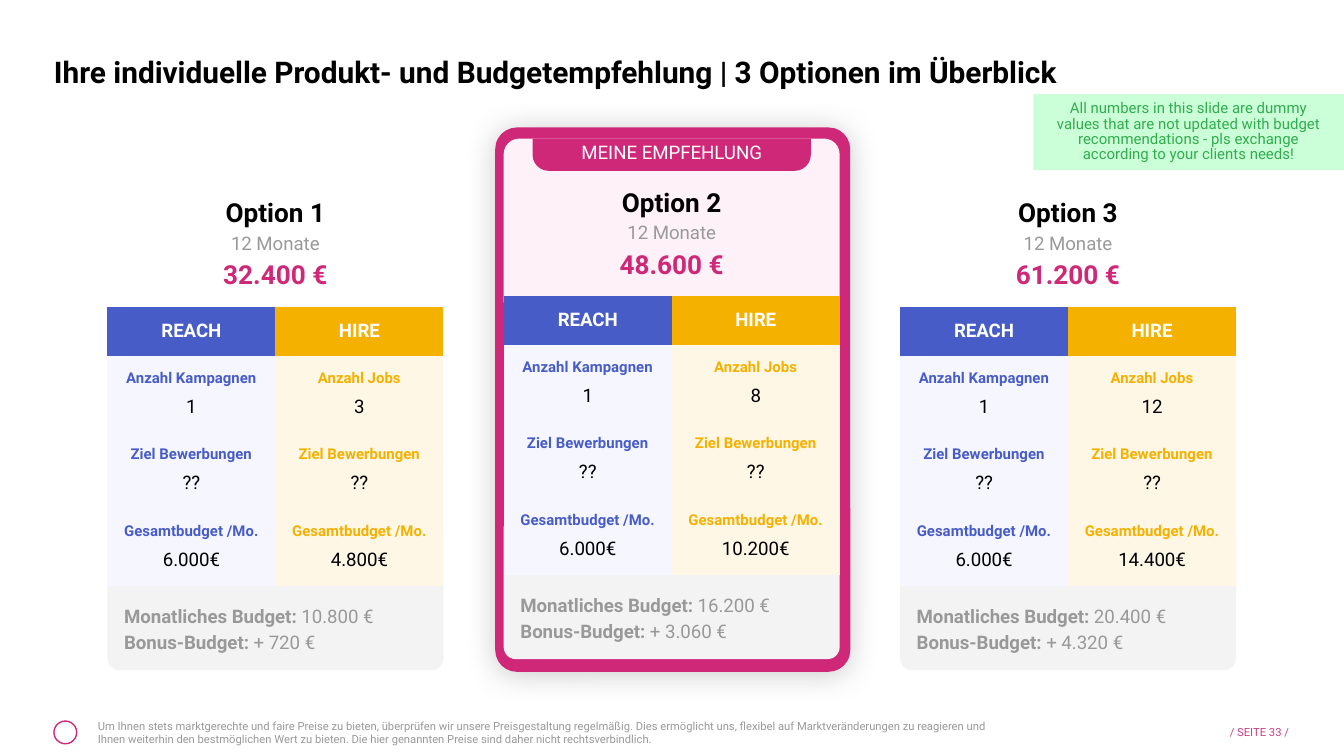
from lxml import etree
from pptx import Presentation
from pptx.dml.color import RGBColor
from pptx.enum import shapes, text
from pptx.oxml.ns import qn
from pptx.util import Cm, Pt

# Content
TITLE = "Ihre individuelle Produkt- und Budgetempfehlung | 3 Optionen im Überblick"
TAG = "MEINE EMPFEHLUNG"
NOTE = ("All numbers in this slide are dummy values that are not updated with budget "
        "recommendations - pls exchange according to your clients needs!")
DISCLAIMER = ("Um Ihnen stets marktgerechte und faire Preise zu bieten, überprüfen wir unsere "
              "Preisgestaltung regelmäßig. Dies ermöglicht uns, flexibel auf Marktveränderungen "
              "zu reagieren und Ihnen weiterhin den bestmöglichen Wert zu bieten. Die hier "
              "genannten Preise sind daher nicht rechtsverbindlich.")
PAGE = "/ SEITE 33 /"
DURATION = "12 Monate"
# Product, its metric labels, header colour, cell colour
PRODUCTS = [
    ("REACH", ["Anzahl Kampagnen", "Ziel Bewerbungen", "Gesamtbudget /Mo."], "blue", "pale_blue"),
    ("HIRE", ["Anzahl Jobs", "Ziel Bewerbungen", "Gesamtbudget /Mo."], "amber", "pale_amber"),
]
OPTIONS = [
    dict(name="Option 1", price="32.400 €", monthly="10.800 €", bonus="+ 720 €",
         values=[["1", "??", "6.000€"], ["3", "??", "4.800€"]]),
    dict(name="Option 2", price="48.600 €", monthly="16.200 €", bonus="+ 3.060 €",
         values=[["1", "??", "6.000€"], ["8", "??", "10.200€"]], featured=True),
    dict(name="Option 3", price="61.200 €", monthly="20.400 €", bonus="+ 4.320 €",
         values=[["1", "??", "6.000€"], ["12", "??", "14.400€"]]),
]

# Format
FONT = "Roboto"
COLORS = dict(black="000000", white="FFFFFF", gray="999999", panel="F3F3F4", pink="D02879",
              pale_pink="FFF1F8", page="C84182", blue="485CC7", pale_blue="F5F6FF",
              amber="F5B100", pale_amber="FEF7E6", note="CBFFD7", green="30AC4E")
LEFT, STEP, CARD_W = 2.03, 7.49, 6.35
HEAD_TOP, TABLE_TOP, FOOT_TOP, PANEL_H = 3.4, 5.8, 10.16, 2.51
HEADER_ROW, METRIC_ROW = 0.93, 1.45
LIFT = 0.21  # the recommended option sits higher
INSET = 0.25
NO_STYLE = "{2D5ABB26-0587-4C30-8999-92F81FD0307C}"
LEFT_AL, CENTER, RIGHT = text.PP_ALIGN.LEFT, text.PP_ALIGN.CENTER, text.PP_ALIGN.RIGHT
TOP, MIDDLE, BOTTOM = (text.MSO_ANCHOR.TOP, text.MSO_ANCHOR.MIDDLE, text.MSO_ANCHOR.BOTTOM)
KIND = shapes.MSO_SHAPE

prs = Presentation()
prs.slide_width, prs.slide_height = Cm(25.4), Cm(14.29)
s = prs.slides.add_slide(prs.slide_layouts[5])


def rgb(name):
    return RGBColor.from_string(COLORS[name])


def write(tf, label, size=10, color="black", bold=False, align=CENTER, before=0,
          spacing=1.0, tail=""):
    """Add a paragraph; tail follows the label in regular weight."""
    p = tf.paragraphs[0]
    if p.runs:
        p = tf.add_paragraph()
    p.alignment, p.space_before, p.line_spacing = align, Pt(before), spacing
    for words, weight in ((label, bold), (tail, False)):
        if words:
            r = p.add_run()
            r.text = words
            r.font.name, r.font.size, r.font.bold = FONT, Pt(size), weight
            r.font.color.rgb = rgb(color)


def frame_text(sp, anchor=TOP, inset=INSET):
    tf = sp.text_frame
    tf.word_wrap, tf.auto_size, tf.vertical_anchor = True, text.MSO_AUTO_SIZE.NONE, anchor
    tf.margin_left = tf.margin_right = tf.margin_top = tf.margin_bottom = Cm(inset)
    return tf


def add_box(kind, x, y, w, h, fill=None, line=None, adj=()):
    sp = s.shapes.add_shape(kind, Cm(x), Cm(y), Cm(w), Cm(h))
    sp.shadow.inherit = False
    for i, value in enumerate(adj):
        sp.adjustments[i] = value
    if fill:
        sp.fill.solid()
        sp.fill.fore_color.rgb = rgb(fill)
    else:
        sp.fill.background()
    if line:
        sp.line.color.rgb, sp.line.width = rgb(line), Pt(0.75)
    else:
        sp.line.fill.background()
    return sp


def add_textbox(x, y, w, h, **frame):
    return frame_text(s.shapes.add_textbox(Cm(x), Cm(y), Cm(w), Cm(h)), **frame)


def add_glow(sp):
    effects = sp.element.spPr.find(qn("a:effectLst"))
    shadow = etree.SubElement(effects, qn("a:outerShdw"), blurRad=str(Pt(15.8)),
                              dist=str(Pt(1.5)), dir="5400000", algn="bl", rotWithShape="0")
    color = etree.SubElement(shadow, qn("a:srgbClr"), val=COLORS["gray"])
    etree.SubElement(color, qn("a:alpha"), val="50000")


def add_metrics(x, y, values):
    rows = 1 + len(PRODUCTS[0][1])
    height = HEADER_ROW + (rows - 1) * METRIC_ROW
    gf = s.shapes.add_table(rows, len(PRODUCTS), Cm(x), Cm(y), Cm(CARD_W), Cm(height))
    table = gf.table
    table.first_row = table.horz_banding = False
    next(gf.element.iter(qn("a:tableStyleId"))).text = NO_STYLE
    for i, row in enumerate(table.rows):
        row.height = Cm(METRIC_ROW if i else HEADER_ROW)
    for c, (product, labels, color, tint) in enumerate(PRODUCTS):
        for i in range(rows):
            cell = table.cell(i, c)
            cell.fill.solid()
            cell.fill.fore_color.rgb = rgb(tint if i else color)
            cell.margin_left = cell.margin_right = Cm(INSET)
            cell.margin_top = cell.margin_bottom = Cm(INSET)
            cell.vertical_anchor = TOP if i else MIDDLE
            if i:
                write(cell.text_frame, labels[i - 1], size=8, color=color, bold=True)
                write(cell.text_frame, values[c][i - 1], before=5)
            else:
                write(cell.text_frame, product, color="white", bold=True)


def add_option(x, option):
    featured = option.get("featured", False)
    lift = LIFT if featured else 0
    # Pink frame behind the recommended option
    if featured:
        add_glow(add_box(KIND.ROUNDED_RECTANGLE, x - 0.16, 2.41, 6.71, 10.29, "pink", adj=[0.061]))
    # Budget panel
    sp = add_box(KIND.ROUND_2_SAME_RECTANGLE, x, FOOT_TOP - lift, CARD_W, PANEL_H, "panel",
                 adj=[0, 0.091])
    tf = frame_text(sp, BOTTOM)
    for label, key in (("Monatliches Budget:", "monthly"), ("Bonus-Budget:", "bonus")):
        write(tf, label, color="gray", bold=True, align=LEFT_AL, spacing=1.15,
              tail=" " + option[key])
    # Name, duration and price
    top = 2.62 if featured else HEAD_TOP
    sp = add_box(KIND.ROUND_2_SAME_RECTANGLE, x, top, CARD_W, 3.1 if featured else PANEL_H,
                 "pale_pink" if featured else "white", adj=[0.095, 0])
    tf = frame_text(sp)
    tf.margin_top = Cm(HEAD_TOP - lift + INSET - top)
    write(tf, option["name"], size=14, bold=True)
    write(tf, DURATION, color="gray", spacing=1.15)
    write(tf, option["price"], size=14, color="pink", bold=True, spacing=1.15)
    add_metrics(x, TABLE_TOP - lift, option["values"])
    # Recommendation tag
    if featured:
        sp = add_box(KIND.ROUND_2_SAME_RECTANGLE, x + (CARD_W - 5.26) / 2, top, 5.26, 0.61,
                     "pink", adj=[0, 0.5])
        write(frame_text(sp, MIDDLE), TAG, color="white")


# Title
title = s.shapes.title
title.left, title.top, title.width, title.height = Cm(1.02), Cm(1.02), Cm(23.35), Cm(1.75)
write(frame_text(title, inset=0), TITLE, size=16, bold=True, align=LEFT_AL)

# Options
for n, option in enumerate(OPTIONS):
    add_option(LEFT + n * STEP, option)

# Footer
add_box(KIND.OVAL, 1.02, 13.63, 0.43, 0.43, line="pink")
write(add_textbox(1.6, 13.34, 17.8, 1.02), DISCLAIMER, size=6, color="gray", align=LEFT_AL)
write(add_textbox(22, 13.29, 2.36, 1.09, anchor=MIDDLE, inset=0), PAGE, size=6, color="page",
      align=RIGHT)

# Note
sp = add_box(KIND.RECTANGLE, 19.53, 1.78, 5.87, 1.44, "note")
write(frame_text(sp, MIDDLE), NOTE, size=8, color="green", spacing=0.86)

prs.save("out.pptx")
